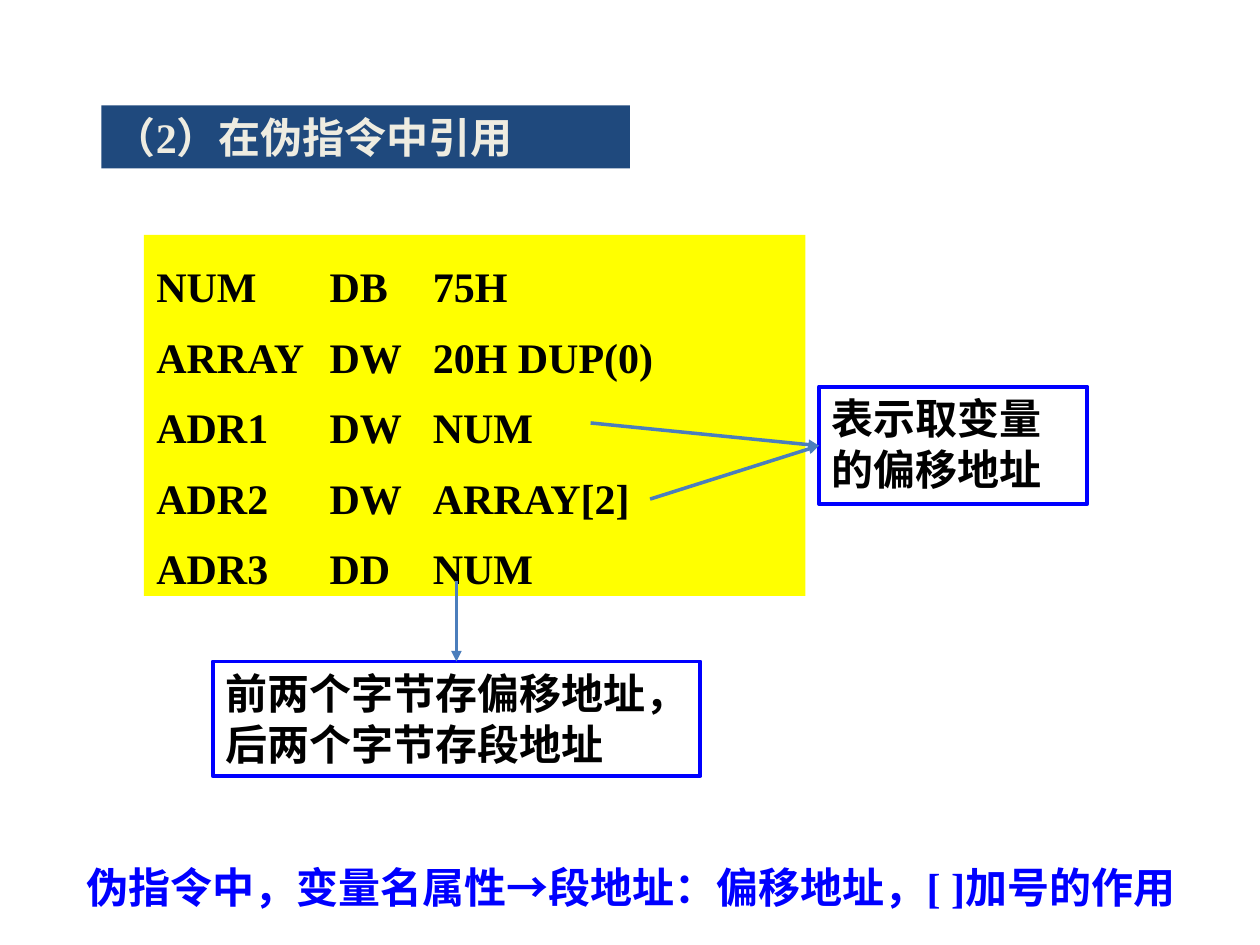
from dataclasses import dataclass
from typing import Optional, Union

import pptx
import pptx.dml.color
import pptx.enum.shapes
import pptx.enum.text
import pptx.oxml
import pptx.oxml.ns
import pptx.util
from pptx.util import Pt

RGBColor = pptx.dml.color.RGBColor
NAVY = RGBColor(0x1F, 0x49, 0x7D)
CREAM = RGBColor(0xEE, 0xEC, 0xE1)
YELLOW = RGBColor(0xFF, 0xFF, 0x00)
BLACK = RGBColor(0x00, 0x00, 0x00)
BLUE = RGBColor(0x00, 0x00, 0xFF)
STEEL = RGBColor(0x4B, 0x7E, 0xBC)
FONT = "Times New Roman"
FONT_SIZE = 24
CODE_TABS = (99, 158)


@dataclass
class Panel:
    text: str
    left: float
    top: float
    width: float
    height: float
    color: RGBColor = BLACK
    fill: Optional[RGBColor] = None
    border: Optional[RGBColor] = None


@dataclass
class Arrow:
    x1: float
    y1: float
    x2: float
    y2: float


def style_text(frame, color: RGBColor,
               spacing: Union[float, pptx.util.Length, None] = None) -> None:
    for paragraph in frame.paragraphs:
        paragraph.alignment = pptx.enum.text.PP_ALIGN.LEFT
        if spacing is not None:
            paragraph.line_spacing = spacing
        for run in paragraph.runs:
            run.font.name = FONT
            run.font.size = Pt(FONT_SIZE)
            run.font.bold = True
            run.font.color.rgb = color


def add_panel(slide, panel: Panel, spacing: Optional[pptx.util.Length] = None):
    shape = slide.shapes.add_shape(
        pptx.enum.shapes.MSO_SHAPE.RECTANGLE,
        Pt(panel.left), Pt(panel.top), Pt(panel.width), Pt(panel.height))
    shape.shadow.inherit = False
    if panel.fill is None:
        shape.fill.background()
    else:
        shape.fill.solid()
        shape.fill.fore_color.rgb = panel.fill
    if panel.border is None:
        shape.line.fill.background()
    else:
        shape.line.color.rgb = panel.border
        shape.line.width = Pt(2.25)
    frame = shape.text_frame
    frame.word_wrap = True
    frame.vertical_anchor = pptx.enum.text.MSO_ANCHOR.TOP
    frame.text = panel.text
    style_text(frame, panel.color, spacing)
    return shape


def add_tab_stops(paragraph, stops: tuple) -> None:
    properties = paragraph._p.get_or_add_pPr()
    tab_list = pptx.oxml.parse_xml(
        f'<a:tabLst {pptx.oxml.ns.nsdecls("a")}>'
        + "".join(f'<a:tab pos="{int(Pt(stop))}" algn="l"/>' for stop in stops)
        + "</a:tabLst>")
    properties.append(tab_list)


def add_arrow(slide, arrow: Arrow) -> None:
    connector = slide.shapes.add_connector(
        pptx.enum.shapes.MSO_CONNECTOR.STRAIGHT,
        Pt(arrow.x1), Pt(arrow.y1), Pt(arrow.x2), Pt(arrow.y2))
    connector.line.color.rgb = STEEL
    connector.line.width = Pt(2)
    namespace = pptx.oxml.ns.nsdecls("a")
    connector.line._get_or_add_ln().append(
        pptx.oxml.parse_xml(f'<a:tailEnd {namespace} type="triangle"/>'))
    connector._element.spPr.append(
        pptx.oxml.parse_xml(f"<a:effectLst {namespace}/>"))


presentation = pptx.Presentation()
presentation.slide_width = Pt(720)
presentation.slide_height = Pt(540)
slide = presentation.slides.add_slide(presentation.slide_layouts[6])

# Heading
add_panel(slide, Panel("（2）在伪指令中引用", 58, 60.3, 302, 36, CREAM, NAVY))

# Assembly listing, in tabbed columns
code_rows = (
    ("NUM", "DB", "75H"),
    ("ARRAY", "DW", "20H DUP(0)"),
    ("ADR1", "DW", "NUM"),
    ("ADR2", "DW", "ARRAY[2]"),
    ("ADR3", "DD", "NUM"),
)
code_text = "\n".join("\t".join(row) for row in code_rows)
listing = add_panel(slide, Panel(code_text, 82.2, 134.2, 378, 206.4, fill=YELLOW),
                    Pt(40.2))
for code_line in listing.text_frame.paragraphs:
    add_tab_stops(code_line, CODE_TABS)

# Explanations
explanations = (
    Panel("表示取变量的偏移地址", 468, 221, 153.4, 67, border=BLUE),
    Panel("前两个字节存偏移地址，后两个字节存段地址", 121.7, 378, 278.6, 65.5, border=BLUE),
)
for explanation in explanations:
    add_panel(slide, explanation)

# Arrows from the operands to their explanations
for arrow in (
    Arrow(337.5, 241.7, 468, 254.7),
    Arrow(371.5, 285.2, 468, 254.7),
    Arrow(260.8, 332, 260.8, 378),
):
    add_arrow(slide, arrow)

# Summary
summary = slide.shapes.add_textbox(Pt(42.5), Pt(480.2), Pt(652.3), Pt(41))
summary.text_frame.word_wrap = False
summary.text_frame.text = "伪指令中，变量名属性→段地址：偏移地址，[ ]加号的作用"
style_text(summary.text_frame, BLUE, 1.3)

presentation.save("out.pptx")
